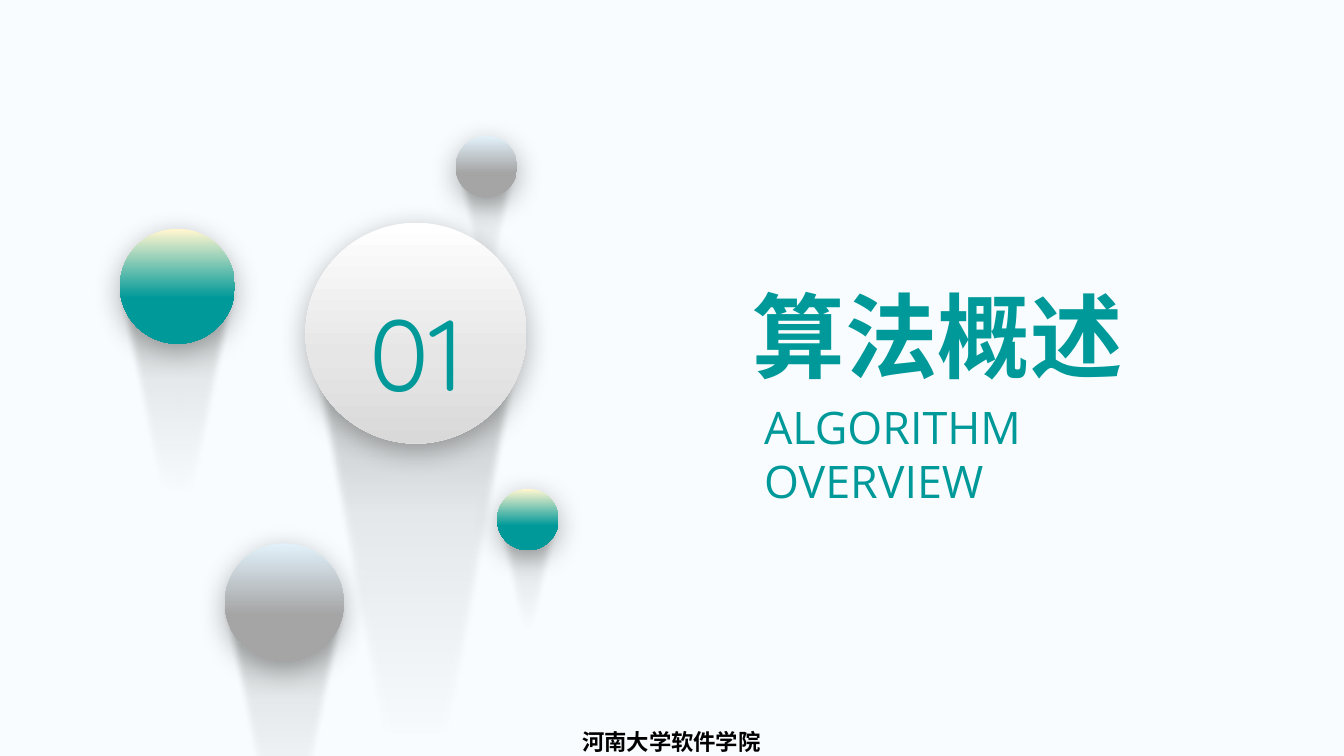
from lxml import etree
from pptx import Presentation
from pptx.dml.color import RGBColor
from pptx.enum.shapes import MSO_SHAPE
from pptx.enum.text import MSO_ANCHOR, MSO_AUTO_SIZE, PP_ALIGN
from pptx.oxml import parse_xml
from pptx.oxml.ns import nsdecls, qn
from pptx.util import Inches, Pt

TEAL = "009999"
TEAL_BALL = [(1, "FFF6CF", 100), (60, TEAL, 100), (100, TEAL, 100)]
GREY_BALL = [(1, "E1F0F9", 100), (60, "A5A5A5", 100), (100, "A5A5A5", 100)]
WHITE_BALL = [(0, "FFFFFF", 100), (60, "E7E6E6", 100), (100, "D9D9D9", 100)]
TAIL = [(0, "262626", 30), (30, "000000", 8), (50, "000000", 4), (70, "000000", 0)]
BALL_SHADOW = (
    f'<a:outerShdw {nsdecls("a")} blurRad="{Pt(20)}" dist="{Pt(5)}" dir="5400000" '
    'algn="t" rotWithShape="0"><a:srgbClr val="000000"><a:alpha val="30000"/>'
    "</a:srgbClr></a:outerShdw>")
TAIL_BLUR = f'<a:softEdge {nsdecls("a")} rad="{Pt(5)}"/>'


def style(shape, stops, effect):
    """Vertical gradient, no outline, one effect."""
    shape.line.fill.background()
    shape.shadow.inherit = False
    shape.fill.background()
    properties = shape.fill._xPr
    gradient = etree.Element(qn("a:gradFill"), rotWithShape="1")
    stop_list = etree.SubElement(gradient, qn("a:gsLst"))
    for position, color, alpha in stops:
        stop = etree.SubElement(stop_list, qn("a:gs"), pos=str(position * 1000))
        fill_color = etree.SubElement(stop, qn("a:srgbClr"), val=color)
        if alpha < 100:
            etree.SubElement(fill_color, qn("a:alpha"), val=str(alpha * 1000))
    etree.SubElement(gradient, qn("a:lin"), ang="5400000", scaled="0")
    properties.replace(properties.find(qn("a:noFill")), gradient)
    properties.find(qn("a:effectLst")).append(parse_xml(effect))


def write(shape, text, font_name, size, color, bold=False):
    paragraph = shape.text_frame.paragraphs[0]
    paragraph.text = text
    paragraph.font.name = font_name
    paragraph.font.size = Pt(size)
    paragraph.font.bold = bold
    paragraph.font.color.rgb = RGBColor.from_string(color)
    return paragraph


presentation = Presentation()
presentation.slide_width = Inches(13.33)
presentation.slide_height = Inches(7.5)
slide = presentation.slides.add_slide(presentation.slide_layouts[6])
slide.background.fill.solid()
slide.background.fill.fore_color.rgb = RGBColor.from_string("F8FCFE")

# Footer
footer = slide.shapes.add_textbox(Inches(4.93), Inches(7.17), Inches(3.46), Inches(0.33))
footer.text_frame.word_wrap = True
write(footer, "河南大学软件学院", "DejaVu Sans", 16, "000000", True).alignment = PP_ALIGN.CENTER

# Tail outline: two Bézier curves, as (half-widths from the axis, lengths)
RIGHT_EDGE = [(1, 0), (0.65, 0.33), (0.07, 1), (0, 1)]
TAIL_OUTLINE = RIGHT_EDGE + [(-x, y) for x, y in reversed(RIGHT_EDGE[:-1])]

# Balls with tails: left, top, diameter, tail width, tail length, gradient, label
balls = [
    (4.52, 1.35, 0.61, 0.68, 1.66, GREY_BALL, None),
    (3.03, 2.21, 2.19, 2.22, 5.94, WHITE_BALL, "01"),
    (2.23, 5.39, 1.18, 1.31, 3.2, GREY_BALL, None),
    (4.93, 4.85, 0.61, 0.68, 1.66, TEAL_BALL, None),
    (1.19, 2.27, 1.14, 1.26, 3.09, TEAL_BALL, None),
]
for left, top, diameter, tail_width, tail_length, stops, label in balls:
    group = slide.shapes.add_group_shape()
    radius = diameter / 2
    points = [(Inches(left + radius + x * tail_width / 2),
               Inches(top + radius + y * tail_length)) for x, y in TAIL_OUTLINE]
    builder = group.shapes.build_freeform(*points[0])
    builder.add_line_segments(points[1:], close=True)
    tail = builder.convert_to_shape()
    # Every three segments become one curve
    segments = list(tail.element.iter(qn("a:lnTo")))
    for first in (0, 3):
        curve = etree.Element(qn("a:cubicBezTo"))
        segments[first].addprevious(curve)
        for segment in segments[first:first + 3]:
            curve.append(segment[0])
            segment.getparent().remove(segment)
    style(tail, TAIL, TAIL_BLUR)

    ball = group.shapes.add_shape(MSO_SHAPE.OVAL, Inches(left), Inches(top),
                                  Inches(diameter), Inches(diameter))
    style(ball, stops, BALL_SHADOW)
    if label:
        ball.text_frame.vertical_anchor = MSO_ANCHOR.MIDDLE
        number = write(ball, label, "Quicksand", 72, TEAL)
        number.alignment = PP_ALIGN.CENTER
        number.line_spacing = 1.3

# Title and subtitle
title = slide.shapes.add_textbox(Inches(7.37), Inches(2.71), Inches(3.9), Inches(1.21))
title.text_frame.word_wrap = False
title.text_frame.auto_size = MSO_AUTO_SIZE.SHAPE_TO_FIT_TEXT
title.text_frame.vertical_anchor = MSO_ANCHOR.BOTTOM
write(title, "算法概述", "Open Sans", 66, TEAL, True)

subtitle = slide.shapes.add_textbox(Inches(7.48), Inches(3.92), Inches(3.79), Inches(1.18))
subtitle.text_frame.word_wrap = True
subtitle.text_frame.auto_size = MSO_AUTO_SIZE.SHAPE_TO_FIT_TEXT
write(subtitle, "ALGORITHM OVERVIEW", "Open Sans", 32, TEAL)

presentation.save("out.pptx")
